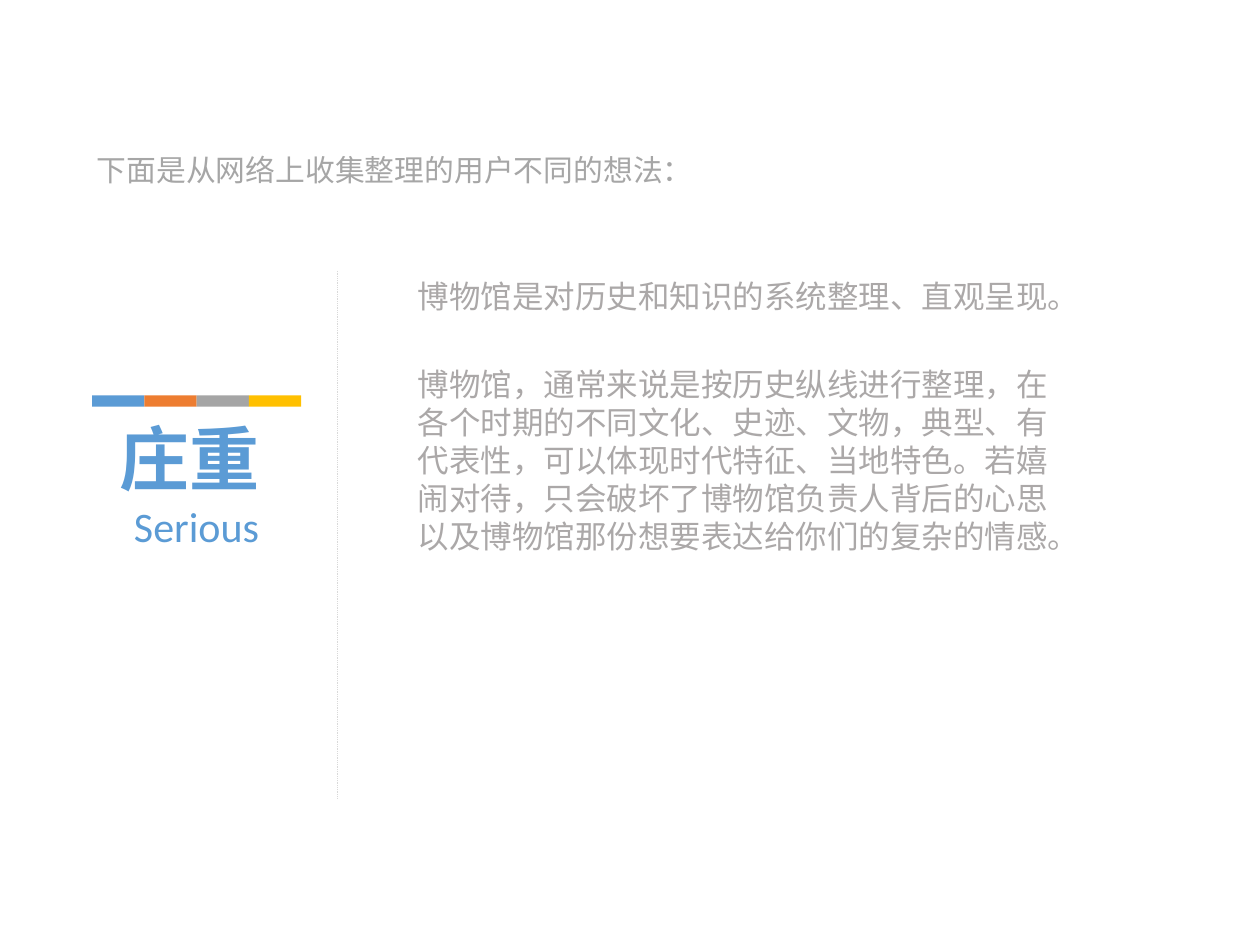
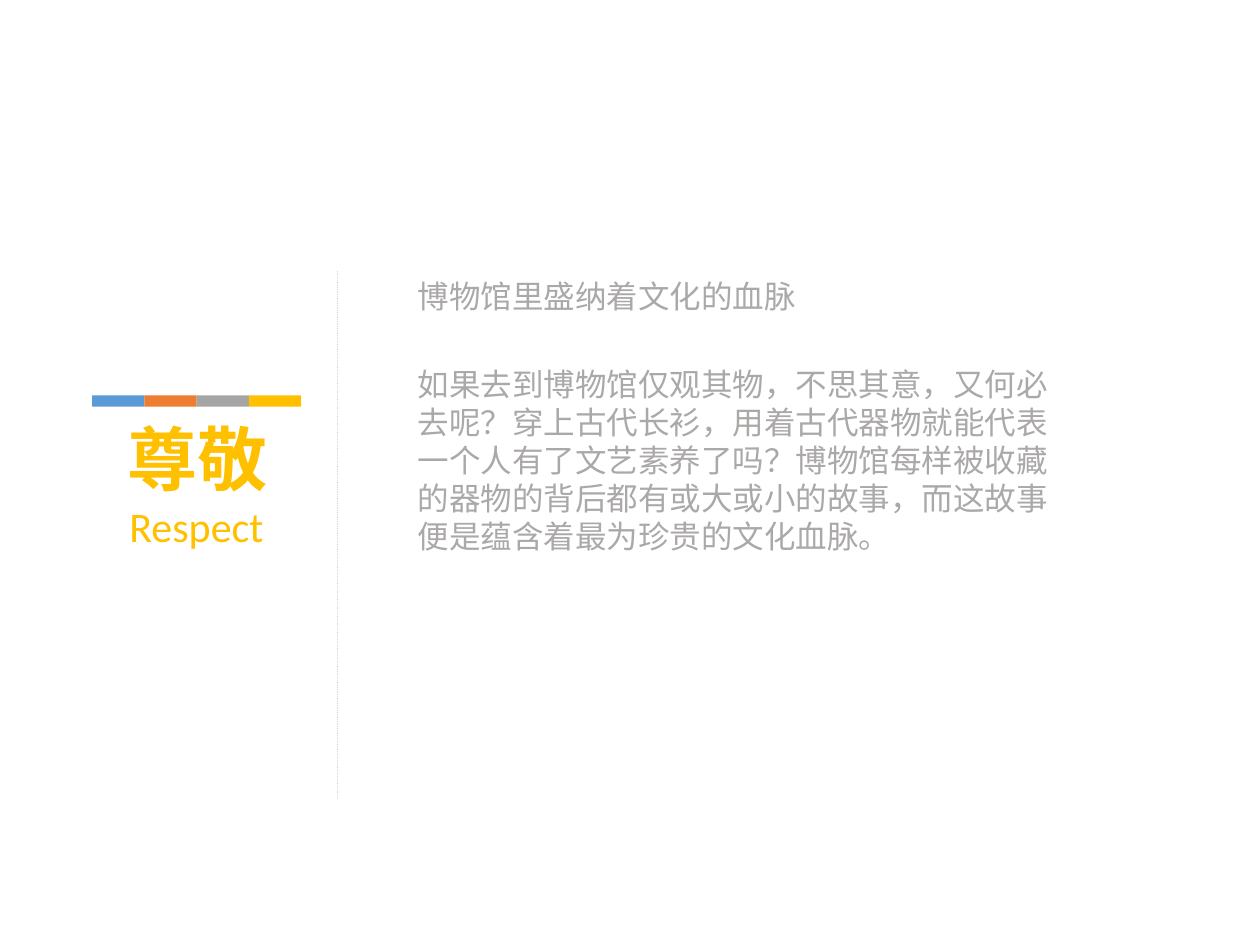
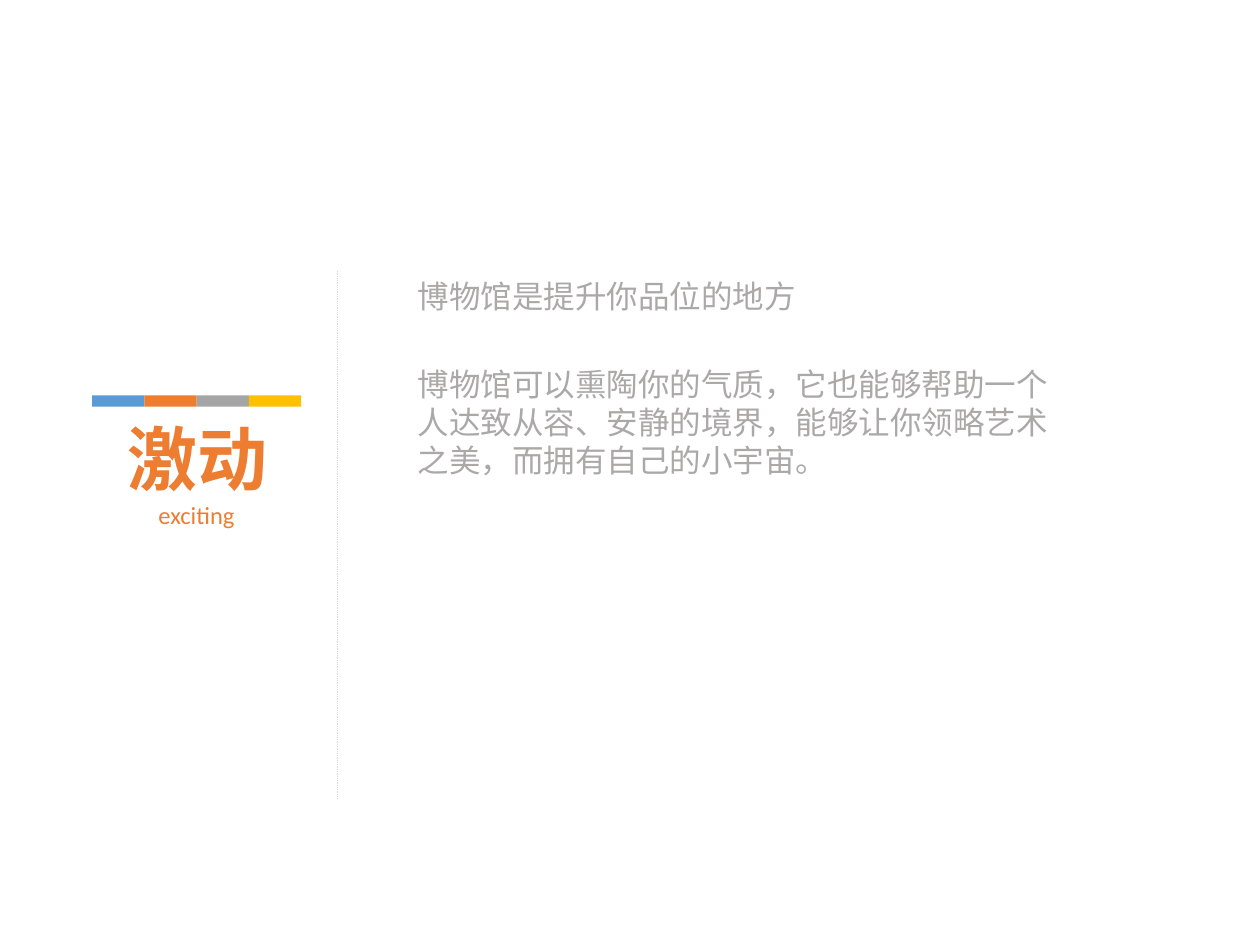
"""Build three slides on how visitors feel about museums."""
from lxml.etree import SubElement
from pptx import Presentation
from pptx.dml.color import RGBColor
from pptx.enum.dml import MSO_LINE
from pptx.enum.shapes import MSO_CONNECTOR as CONN, MSO_SHAPE as SHAPE
from pptx.enum.text import MSO_ANCHOR as ANCHOR, MSO_AUTO_SIZE as AUTO, PP_ALIGN as ALIGN
from pptx.oxml.ns import qn
from pptx.util import Pt

COLORS = {
    "blue": "5B9BD5",
    "orange": "ED7D31",
    "gray": "A5A5A5",
    "gold": "FFC000",
    "rule": "D9D9D9",
    "intro": "A6A6A6",
    "body": "ABA8A8",
}
BAND = ("blue", "orange", "gray", "gold")
INTRO = "下面是从网络上收集整理的用户不同的想法："
FEELINGS = [
    ("庄重 ", "Serious", 24, "blue", "博物馆是对历史和知识的系统整理、直观呈现。",
     "博物馆，通常来说是按历史纵线进行整理，在各个时期的不同文化、史迹、文物，典型、有代表性，"
     "可以体现时代特征、当地特色。若嬉闹对待，只会破坏了博物馆负责人背后的心思"
     "以及博物馆那份想要表达给你们的复杂的情感。", 116.6),
    ("尊敬", "Respect", 24, "gold", "博物馆里盛纳着文化的血脉",
     "如果去到博物馆仅观其物，不思其意，又何必去呢？穿上古代长衫，用着古代器物就能代表"
     "一个人有了文艺素养了吗？博物馆每样被收藏的器物的背后都有或大或小的故事，"
     "而这故事便是蕴含着最为珍贵的文化血脉。", 116.6),
    ("激动", "exciting", 14, "orange", "博物馆是提升你品位的地方",
     "博物馆可以熏陶你的气质，它也能够帮助一个人达致从容、安静的境界，"
     "能够让你领略艺术之美，而拥有自己的小宇宙。", 72.7),
]


class Deck:
    """Hold the style and the current slide."""

    def __init__(self):
        self.prs = Presentation()
        self.prs.slide_width, self.prs.slide_height = Pt(720), Pt(540)
        self.s = None

    def color(self, name):
        return RGBColor.from_string(COLORS[name])

    def slide(self):
        self.s = self.prs.slides.add_slide(self.prs.slide_layouts[6])

    def text(self, shapes, box, text, size, color, font="Calibri", bold=False,
             align=ALIGN.LEFT, anchor=ANCHOR.TOP, auto=AUTO.NONE):
        tf = shapes.add_textbox(*map(Pt, box)).text_frame
        tf.word_wrap, tf.auto_size, tf.vertical_anchor = True, auto, anchor
        p = tf.paragraphs[0]
        p.alignment = align
        r = p.add_run()
        r.text = text
        r.font.size, r.font.bold, r.font.name = Pt(size), bold, font
        r.font.color.rgb = self.color(color)
        SubElement(r.font._element, qn("a:ea"), typeface=font)

    def rule(self, x, top, bottom):
        line = self.s.shapes.add_connector(CONN.STRAIGHT, Pt(x), Pt(top), Pt(x), Pt(bottom))
        line.line.color.rgb = self.color("rule")
        line.line.width = Pt(0.5)
        line.line.dash_style = MSO_LINE.ROUND_DOT
        SubElement(line._element.spPr, qn("a:effectLst"))

    def band(self, shapes, left, top, width, height):
        for i, name in enumerate(BAND):
            sp = shapes.add_shape(SHAPE.RECTANGLE, Pt(left + i * width), Pt(top),
                                  Pt(width), Pt(height))
            sp.shadow.inherit = False
            sp.fill.solid()
            sp.fill.fore_color.rgb = self.color(name)
            sp.line.fill.background()

    def label(self, word, english, size, color):
        shapes = self.s.shapes.add_group_shape().shapes
        self.text(shapes, (53.3, 234, 118.8, 48.2), word, 40, color, "Cabin", True, ALIGN.CENTER)
        self.text(shapes, (48.2, 282.2, 128.2, 34.6), english, size, color, align=ALIGN.CENTER)
        self.band(shapes, 52.7, 225.9, 29.85, 6.5)

    def intro(self, text):
        self.text(self.s.shapes, (48.2, 77.8, 648, 38.2), text, 17, "intro", anchor=ANCHOR.MIDDLE)

    def body(self, top, height, text):
        self.text(self.s.shapes, (231.8, top, 378.7, height), text, 18, "body",
                  auto=AUTO.SHAPE_TO_FIT_TEXT)


def main():
    deck = Deck()
    for i, (word, english, size, color, lead, detail, height) in enumerate(FEELINGS):
        deck.slide()
        if i == 0:
            deck.intro(INTRO)
        deck.rule(193, 154.8, 456.5)
        deck.label(word, english, size, color)
        deck.body(154.8, 29, lead)
        deck.body(205.2, height, detail)
    deck.prs.save("out.pptx")


if __name__ == "__main__":
    main()
